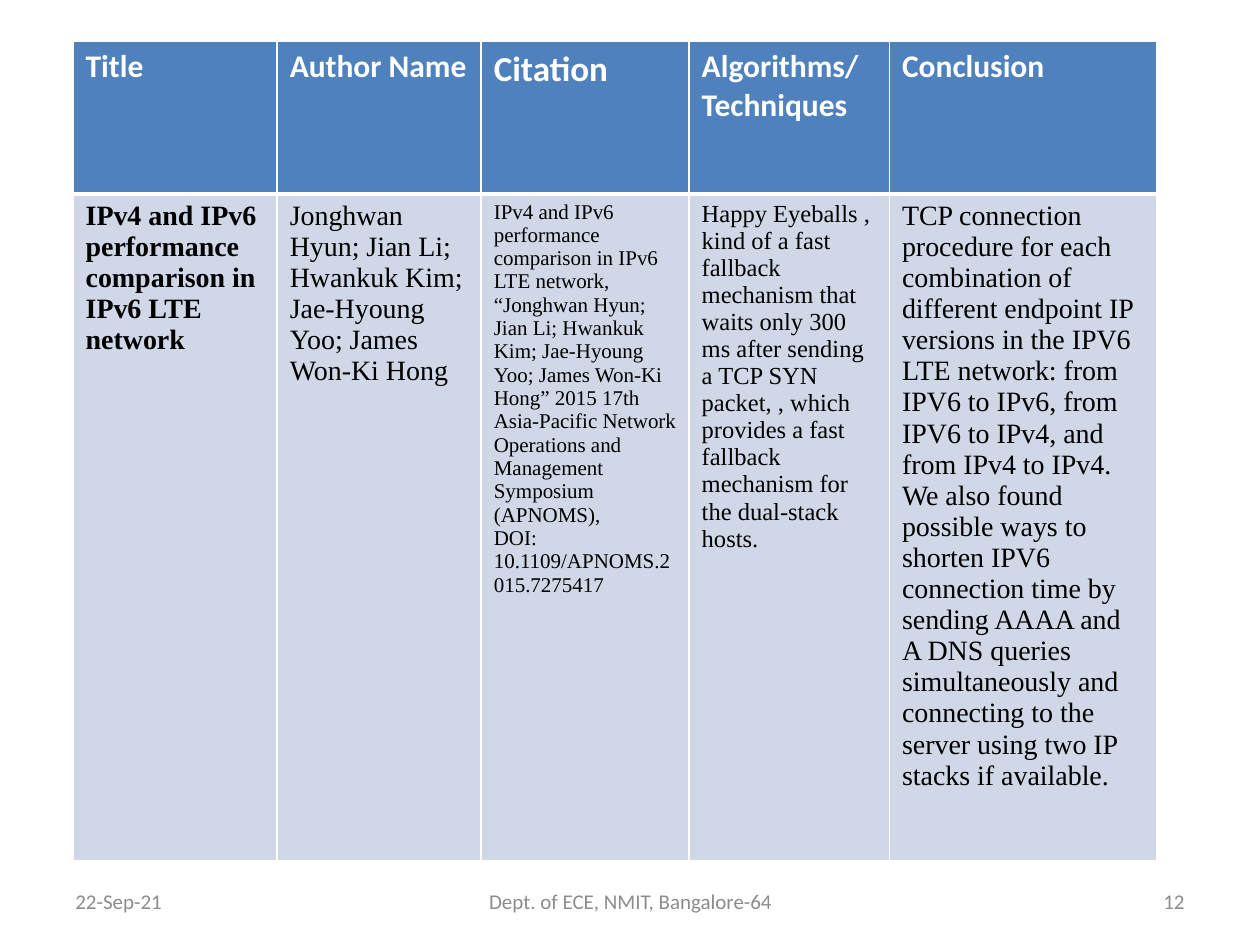
from lxml import etree
from pptx import Presentation
from pptx.dml.color import RGBColor
from pptx.enum import text
from pptx.oxml import ns
from pptx.util import Inches, Pt

COLORS = {"header": "4F81BD", "body": "D0D8E8", "line": "FFFFFF",
          "header_text": "FFFFFF", "body_text": "000000", "footer": "8C8C8C"}


def set_font(paragraph, name, size, color, bold=False):
    paragraph.font.name = name
    paragraph.font.size = Pt(size)
    paragraph.font.bold = bold
    paragraph.font.color.rgb = RGBColor.from_string(COLORS[color])


def set_borders(cell, widths):
    properties = cell._tc.get_or_add_tcPr()
    for index, (side, width) in enumerate(widths.items()):
        line = etree.Element(ns.qn("a:" + side), w=str(Pt(width)))
        fill = etree.SubElement(line, ns.qn("a:solidFill"))
        etree.SubElement(fill, ns.qn("a:srgbClr"), val=COLORS["line"])
        properties.insert(index, line)


presentation = Presentation()
presentation.slide_width, presentation.slide_height = Inches(10), Inches(7.5)
slide = presentation.slides.add_slide(presentation.slide_layouts[6])

# Literature table: column width, heading, heading size, body size, body text
columns = [
    (1.62, "Title", 18, 16, "IPv4 and IPv6 performance comparison in IPv6 LTE network"),
    (1.62, "Author Name", 18, 16,
     "Jonghwan Hyun; Jian Li; Hwankuk Kim; Jae-Hyoung Yoo; James Won-Ki Hong"),
    (1.65, "Citation", 20, 12,
     "IPv4 and IPv6 performance comparison in IPv6 LTE network, “Jonghwan Hyun; "
     "Jian Li; Hwankuk Kim; Jae-Hyoung Yoo; James Won-Ki Hong” 2015 17th "
     "Asia-Pacific Network Operations and Management Symposium (APNOMS),\n"
     "DOI: 10.1109/APNOMS.2015.7275417"),
    (1.59, "Algorithms/Techniques", 18, 14,
     "Happy Eyeballs , kind of a fast fallback mechanism that waits only 300 ms "
     "after sending a TCP SYN packet, , which provides a fast fallback mechanism "
     "for the dual-stack hosts."),
    (2.12, "Conclusion", 18, 16,
     "TCP connection procedure for each combination of different endpoint IP "
     "versions in the IPV6 LTE network: from IPV6 to IPv6, from IPV6 to IPv4, and "
     "from IPv4 to IPv4. We also found possible ways to shorten IPV6 connection "
     "time by sending AAAA and A DNS queries simultaneously and connecting to the "
     "server using two IP stacks if available."),
]
table = slide.shapes.add_table(2, len(columns), Inches(0.58), Inches(0.33),
                               Inches(8.58), Inches(6.5)).table
table.rows[0].height, table.rows[1].height = Inches(1.21), Inches(5.29)

for number, (width, heading, heading_size, body_size, body) in enumerate(columns):
    table.columns[number].width = Inches(width)
    rows = [("header", heading, "Calibri", heading_size, True, 1, 3),
            ("body", body, "Times New Roman", body_size, number == 0, 3, 1)]
    for row, (kind, content, font, size, bold, top, bottom) in enumerate(rows):
        cell = table.cell(row, number)
        cell.text = content
        cell.fill.solid()
        cell.fill.fore_color.rgb = RGBColor.from_string(COLORS[kind])
        set_borders(cell, {"lnL": 1, "lnR": 1, "lnT": top, "lnB": bottom})
        for paragraph in cell.text_frame.paragraphs:
            set_font(paragraph, font, size, kind + "_text", bold)

# Footer: date, department, slide number
footers = [
    (0.5, 2.33, "22-Sep-21", text.PP_ALIGN.LEFT),
    (3.42, 3.17, "Dept. of ECE, NMIT, Bangalore-64", text.PP_ALIGN.CENTER),
    (7.17, 2.33, "12", text.PP_ALIGN.RIGHT),
]
for left, width, content, alignment in footers:
    shape = slide.shapes.add_textbox(Inches(left), Inches(6.95), Inches(width), Inches(0.4))
    frame = shape.text_frame
    frame.word_wrap = True
    frame.vertical_anchor = text.MSO_ANCHOR.MIDDLE
    frame.text = content
    paragraph = frame.paragraphs[0]
    paragraph.alignment = alignment
    set_font(paragraph, "Calibri", 12, "footer")

presentation.save("out.pptx")
